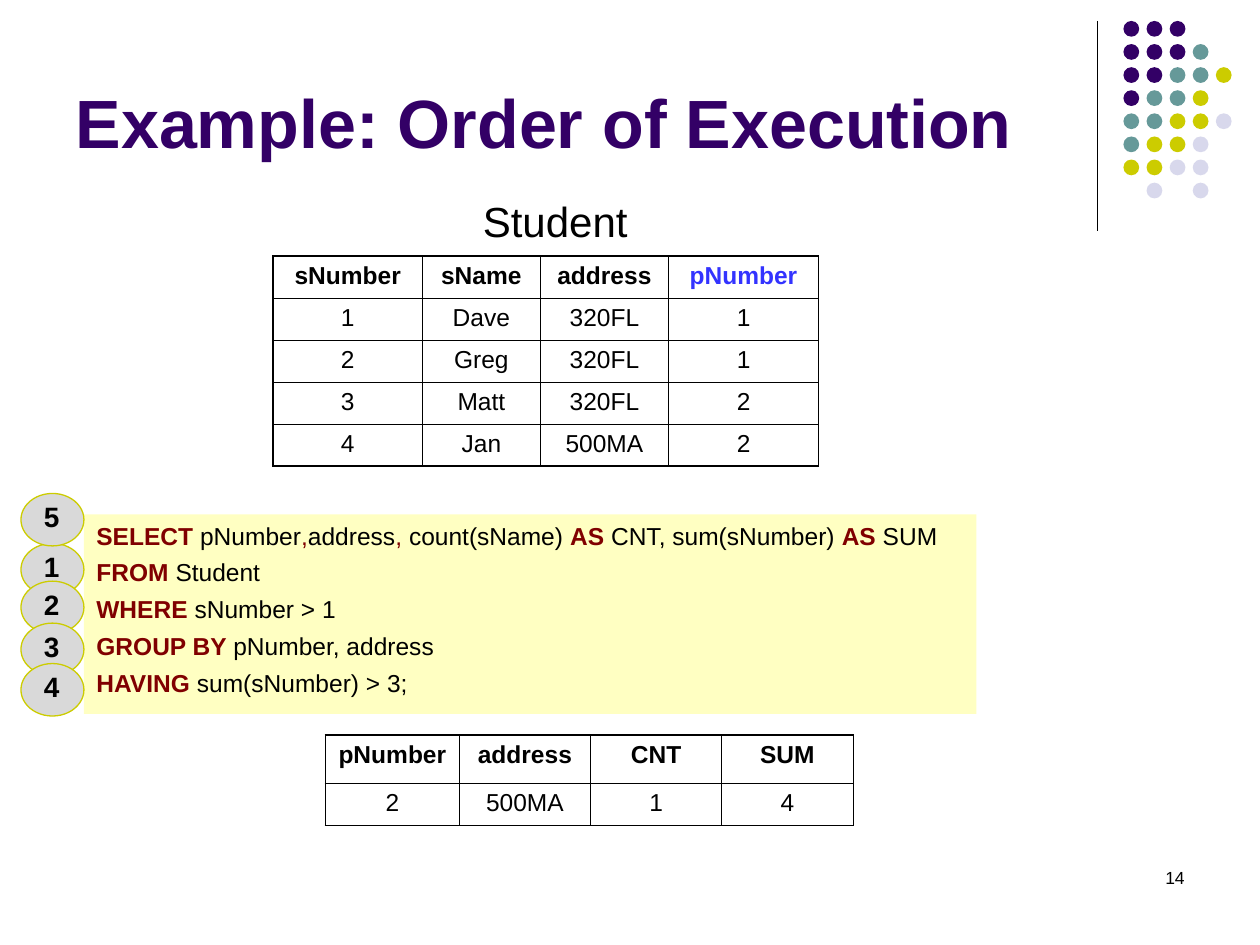
from lxml.etree import SubElement as Sub
from pptx import Presentation
from pptx.dml.color import RGBColor
from pptx.enum.shapes import MSO_CONNECTOR as Conn, MSO_SHAPE as Kind
from pptx.enum.text import MSO_ANCHOR as Anchor, PP_ALIGN as Align
from pptx.oxml.ns import qn
from pptx.util import Inches, Pt

UNIT = Inches(1) // 12  # the grid has 120 columns and 90 rows
INK, RED, BLUE, PLUM = "000000", "800000", "3333FF", "330066"
TEAL, LIME, MIST, GREY, CREAM = "669999", "CCCC00", "D8D8EC", "D9D9D9", "FFFFC2"
THIN, THICK = 0.45, 1.08


def grid(*cells):
    return [round(c * UNIT) for c in cells]


def rgb(code):
    return RGBColor.from_string(code)


def edge(cell, side, width):
    line = Sub(cell._tc.get_or_add_tcPr(), qn("a:ln" + side), w=str(Pt(width)))
    fill = Sub(line, qn("a:solidFill"))
    Sub(fill, qn("a:srgbClr"), val=INK)


class Deck:
    """Holds the style and the current slide."""

    def __init__(self, font="Arial"):
        self.font = font
        self.file = Presentation()
        self.file.slide_width, self.file.slide_height = grid(120, 90)
        self.slide = self.file.slides.add_slide(self.file.slide_layouts[5])
        self.shapes = self.slide.shapes

    def run(self, para, text, size, color=INK, bold=False):
        run = para.add_run()
        run.text = text
        font = run.font
        font.name, font.size, font.bold = self.font, Pt(size), bold
        font.color.rgb = rgb(color)

    def title(self, text, box):
        head = self.shapes.title
        head.left, head.top, head.width, head.height = grid(*box)
        head.text_frame.vertical_anchor = Anchor.BOTTOM
        para = head.text_frame.paragraphs[0]
        para.alignment = Align.LEFT
        self.run(para, text, 39, PLUM, True)

    def text(self, text, box, size, bold=False, align=Align.LEFT, wrap=False, home=None):
        frame = (home or self.shapes).add_textbox(*grid(*box)).text_frame
        frame.word_wrap = wrap
        para = frame.paragraphs[0]
        para.alignment = align
        self.run(para, text, size, INK, bold)

    def shape(self, kind, box, fill, line=None, home=None):
        shape = (home or self.shapes).add_shape(kind, *grid(*box))
        shape.shadow.inherit = False
        shape.fill.solid()
        shape.fill.fore_color.rgb = rgb(fill)
        if line:
            shape.line.color.rgb = rgb(line)
            shape.line.width = Pt(0.75)
        else:
            shape.line.fill.background()
        return shape

    def rule(self, *ends):
        line = self.shapes.add_connector(Conn.STRAIGHT, *grid(*ends))
        line.line.color.rgb = rgb(INK)
        line.line.width = Pt(0.75)
        Sub(line._element.spPr, qn("a:effectLst"))

    def dots(self, left, top, rows, step=2.2, size=1.5):
        colors = {"P": PLUM, "T": TEAL, "L": LIME, "M": MIST}
        group = self.shapes.add_group_shape().shapes
        for r, row in enumerate(rows):
            for c, key in enumerate(row):
                if key in colors:
                    box = left + c * step, top + r * step, size, size
                    self.shape(Kind.OVAL, box, colors[key], home=group)

    def table(self, left, top, cols, rows, data, heavy, tints):
        """Draw a table; heavy names its thick outer sides, tints the coloured heads."""
        box = grid(left, top, sum(cols), sum(rows))
        table = self.shapes.add_table(len(rows), len(cols), *box).table
        table.first_row = table.horz_banding = False
        for col, width in zip(table.columns, grid(*cols)):
            col.width = width
        for row, height in zip(table.rows, grid(*rows)):
            row.height = height
        for r, line in enumerate(data):
            for c, word in enumerate(line):
                cell = table.cell(r, c)
                outer = {"L": c == 0, "R": c == len(cols) - 1,
                         "T": r == 0, "B": r == len(rows) - 1}
                for side, out in outer.items():
                    edge(cell, side, THICK if out and side in heavy else THIN)
                cell.fill.background()
                para = cell.text_frame.paragraphs[0]
                para.alignment = Align.CENTER
                para.space_before = Pt(3.5)
                tint = tints.get(c, INK) if r == 0 else INK
                self.run(para, word, 14, tint, r == 0)

    def code(self, lines, box):
        """Draw lines of (text, style) runs: k is a keyword, r is red, p is plain."""
        frame = self.shape(Kind.RECTANGLE, box, CREAM).text_frame
        frame.word_wrap = True
        frame.vertical_anchor = Anchor.TOP
        for i, line in enumerate(lines):
            para = frame.add_paragraph() if i else frame.paragraphs[0]
            para.alignment = Align.LEFT
            para.space_before = Pt(4.2)
            props = para._p.get_or_add_pPr()
            props.set("marL", str(Inches(0.38)))
            props.set("indent", str(-Inches(0.38)))
            for text, style in line:
                self.run(para, text, 14, INK if style == "p" else RED, style == "k")

    def badge(self, text, left, top):
        group = self.shapes.add_group_shape().shapes
        self.shape(Kind.OVAL, (left, top, 6, 5), GREY, LIME, group)
        self.text(text, (left + 1, top, 3.84, 4.4), 16, True, home=group)


STUDENTS = [
    ("sNumber", "sName", "address", "pNumber"),
    ("1", "Dave", "320FL", "1"),
    ("2", "Greg", "320FL", "1"),
    ("3", "Matt", "320FL", "2"),
    ("4", "Jan", "500MA", "2"),
]
RESULT = [("pNumber", "address", "CNT", "SUM"), ("2", "500MA", "1", "4")]
QUERY = [
    [("SELECT ", "k"), ("pNumber", "p"), (",", "r"), ("address", "p"), (", ", "r"),
     ("count(sName) ", "p"), ("AS", "k"), (" CNT, sum(sNumber) ", "p"),
     ("AS ", "k"), ("SUM", "p")],
    [("FROM ", "k"), ("Student", "p")],
    [("WHERE ", "k"), ("sNumber > 1", "p")],
    [("GROUP BY ", "k"), ("pNumber, address", "p")],
    [("HAVING", "k"), (" sum(sNumber) > 3;", "p")],
]
DOTS = ["PPP", "PPPT", "PPTTL", "PTTL", "TTLLM", "TLLM", "LLMM", "-M-M"]
STEPS = {"1": 51.75, "2": 55.35, "3": 59.35, "4": 63.2, "5": 47}


def main():
    deck = Deck()
    deck.rule(104.5, 2, 104.5, 22)
    deck.dots(107, 2, DOTS)
    deck.title("Example: Order of Execution", (6, 1.6, 99, 14.4))
    deck.table(26, 24.4, (14.25, 11.2, 12.25, 14.25), [4] * 5, STUDENTS, "LRTB", {3: BLUE})
    deck.text("Student", (44.8, 18, 16.2, 6), 24)
    deck.code(QUERY, (8, 49, 85, 19))
    deck.table(31, 70, (12.75, 12.5, 12.5, 12.5), (4.6, 4), RESULT, "LT", {})
    deck.text("14", (86, 82, 28, 6), 10, align=Align.RIGHT, wrap=True)
    for step, top in STEPS.items():
        deck.badge(step, 2, top)
    deck.file.save("out.pptx")


if __name__ == "__main__":
    main()
